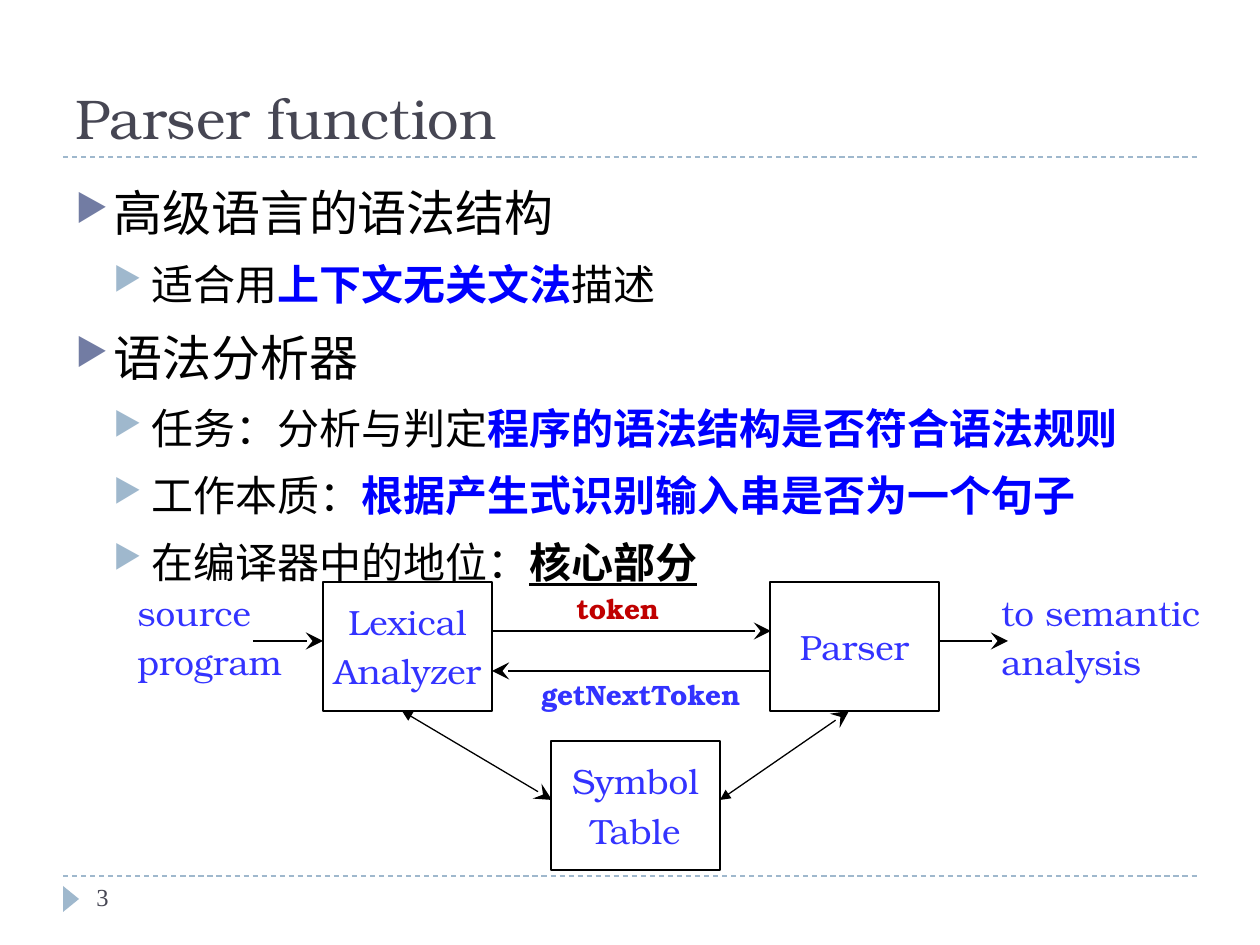
from dataclasses import dataclass

from lxml import etree
from pptx import Presentation
from pptx.dml.color import RGBColor
from pptx.enum.dml import MSO_LINE
from pptx.enum.shapes import MSO_CONNECTOR, MSO_SHAPE
from pptx.enum.text import MSO_ANCHOR, PP_ALIGN
from pptx.oxml.ns import qn
from pptx.util import Emu, Pt

PX = 914400 / 126
DASH = MSO_LINE.DASH
STRAIGHT = MSO_CONNECTOR.STRAIGHT
RECTANGLE, TRIANGLE = MSO_SHAPE.RECTANGLE, MSO_SHAPE.ISOSCELES_TRIANGLE
TOP, MIDDLE, BOTTOM = MSO_ANCHOR.TOP, MSO_ANCHOR.MIDDLE, MSO_ANCHOR.BOTTOM
LEFT, CENTER = PP_ALIGN.LEFT, PP_ALIGN.CENTER


@dataclass(frozen=True)
class Theme:
    heading: str = "464653"
    accent: str = "727CA3"
    pale: str = "9FB8CD"
    black: str = "000000"
    emphasis: str = "0000FF"
    diagram: str = "3333FF"
    token: str = "C00000"
    serif: str = "TeX Gyre Bonum"
    chinese: str = "Noto Sans CJK SC"
    number: str = "Times New Roman"
    title_size: int = 32
    body_sizes: tuple = (28, 24)
    node_size: int = 20
    label_size: int = 16
    number_size: int = 14


THEME = Theme()


def px(*values):
    return [Emu(round(value * PX)) for value in values]


def write(shape, text, size, color, font=THEME.serif, bold=False, align=LEFT,
          anchor=TOP):
    """Fill a shape with unwrapped lines in one style."""
    frame = shape.text_frame
    frame.text = text
    frame.word_wrap = False
    frame.vertical_anchor = anchor
    for index, paragraph in enumerate(frame.paragraphs):
        paragraph.alignment = align
        if index:
            paragraph.space_before = Pt(size * 0.2)
        for run in paragraph.runs:
            run.font.name = font
            run.font.size = Pt(size)
            run.font.bold = bold
            run.font.color.rgb = RGBColor.from_string(color)


presentation = Presentation()
presentation.slide_width, presentation.slide_height = px(1260, 945)
slide = presentation.slides.add_slide(presentation.slide_layouts[6])
shapes = slide.shapes

# Title and slide number
write(shapes.add_textbox(*px(63, 21, 1134, 136)), "Parser function",
      THEME.title_size, THEME.heading, anchor=BOTTOM)
write(shapes.add_textbox(*px(84, 876, 273, 50)), "3",
      THEME.number_size, THEME.heading, THEME.number)
marker = shapes.add_shape(TRIANGLE, *px(58, 891, 26, 16))
marker.rotation = 90
marker.shadow.inherit = False
marker.fill.solid()
marker.fill.fore_color.rgb = RGBColor.from_string(THEME.pale)
marker.line.fill.background()

# Body: level, then runs of text and style
body_lines = [
    (0, [("高级语言的语法结构", "")]),
    (1, [("适合用", ""), ("上下文无关文法", "blue"), ("描述", "")]),
    (0, [("语法分析器", "")]),
    (1, [("任务：分析与判定", ""), ("程序的语法结构是否符合语法规则", "blue")]),
    (1, [("工作本质：", ""), ("根据产生式识别输入串是否为一个句子", "blue")]),
    (1, [("在编译器中的地位：", ""), ("核心部分", "underline")]),
]
body = shapes.add_textbox(*px(63, 168, 1134, 680)).text_frame
body.word_wrap = True
for index, (level, runs) in enumerate(body_lines):
    paragraph = body.paragraphs[0] if index == 0 else body.add_paragraph()
    paragraph.level = level
    properties = paragraph._p.get_or_add_pPr()
    indent = px(38)[0]
    properties.set("marL", str(indent * (level + 1)))
    properties.set("indent", str(-indent))
    bullet_color = etree.SubElement(properties, qn("a:buClr"))
    etree.SubElement(bullet_color, qn("a:srgbClr"),
                     val=(THEME.accent, THEME.pale)[level])
    etree.SubElement(properties, qn("a:buSzPct"), val="76000")
    etree.SubElement(properties, qn("a:buChar"), char="▶")
    paragraph.line_spacing = 1.15
    if index:
        paragraph.space_before = Pt(6 - level)
    for text, style in runs:
        run = paragraph.add_run()
        run.text = text
        font = run.font
        font.size = Pt(THEME.body_sizes[level])
        font.bold = style != ""
        font.underline = style == "underline"
        color = THEME.emphasis if style == "blue" else THEME.black
        font.color.rgb = RGBColor.from_string(color)
        font.name = THEME.chinese
        etree.SubElement(run._r.get_or_add_rPr(), qn("a:ea"),
                         typeface=THEME.chinese)

# Diagram boxes and labels
for text, left, top in [("Lexical\nAnalyzer", 323, 582),
                        ("Parser", 770, 582),
                        ("Symbol\nTable", 551, 741)]:
    box = shapes.add_shape(RECTANGLE, *px(left, top, 169, 129))
    box.shadow.inherit = False
    box.fill.background()
    box.line.color.rgb = RGBColor.from_string(THEME.black)
    box.line.width = Pt(0.75)
    write(box, text, THEME.node_size, THEME.diagram, align=CENTER,
          anchor=MIDDLE)

for text, left, top, width, height, size, color, bold in [
    ("source\nprogram", 125, 585, 171, 106, THEME.node_size, THEME.diagram, False),
    ("to semantic\nanalysis", 989, 585, 227, 106, THEME.node_size, THEME.diagram, False),
    ("token", 564, 585, 111, 47, THEME.label_size, THEME.token, True),
    ("getNextToken", 529, 671, 231, 47, THEME.label_size, THEME.diagram, True),
]:
    write(shapes.add_textbox(*px(left, top, width, height)), text, size, color,
          bold=bold)

# Rules and arrows: end points and kind
for *points, kind in [
    (63, 157, 1197, 157, "rule"),
    (63, 876, 1197, 876, "rule"),
    (493, 631, 771, 631, "arrow"),
    (770, 671, 492, 671, "arrow"),
    (253, 641, 323, 641, "arrow"),
    (939, 641, 1008, 641, "arrow"),
    (402, 711, 552, 800, "double"),
    (720, 800, 849, 711, "double"),
]:
    connector = shapes.add_connector(STRAIGHT, *px(*points))
    line = connector.line
    line.width = Pt(0.75)
    line.color.rgb = RGBColor.from_string(
        THEME.pale if kind == "rule" else THEME.black)
    etree.SubElement(connector._element.spPr, qn("a:effectLst"))
    if kind == "rule":
        line.dash_style = DASH
        continue
    outline = line._get_or_add_ln()
    if kind == "double":
        etree.SubElement(outline, qn("a:headEnd"), type="triangle")
    etree.SubElement(outline, qn("a:tailEnd"), type="stealth", w="lg", len="lg")

presentation.save("out.pptx")
